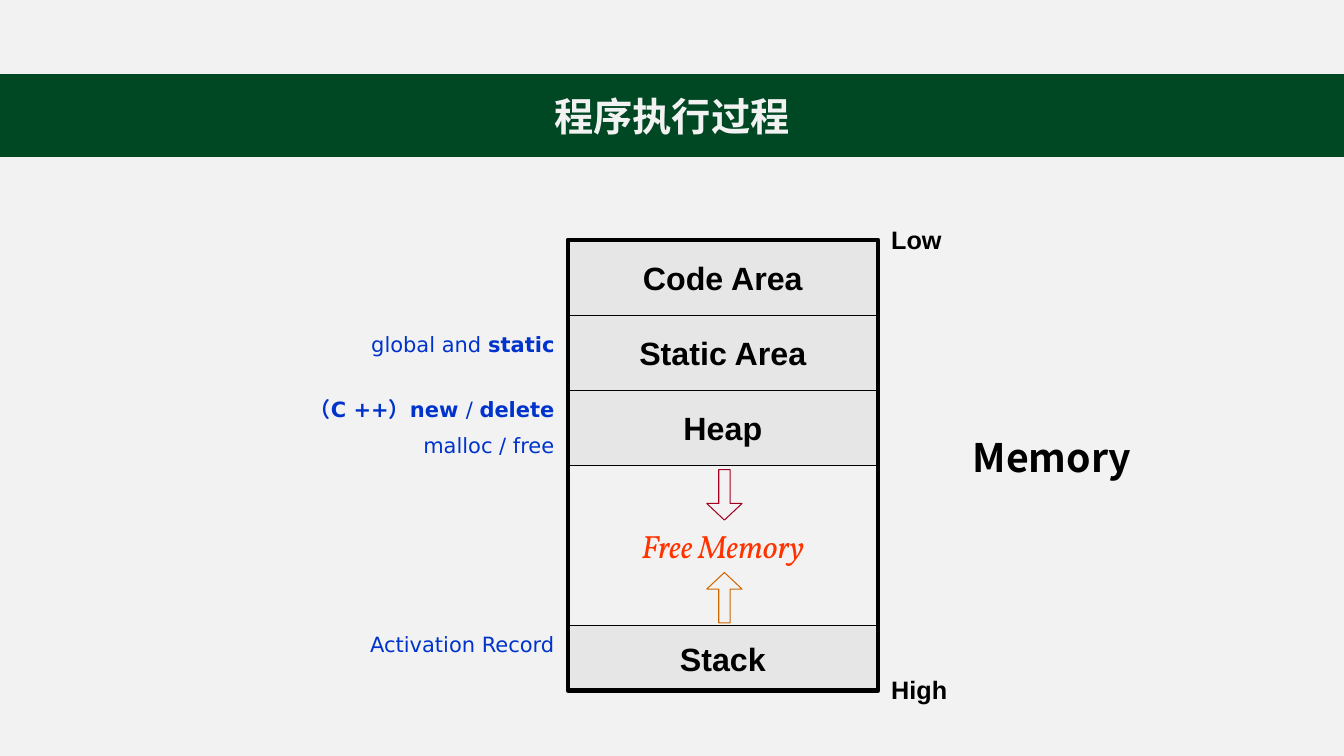
"""Build a slide showing the memory layout of a running program."""
import itertools
from typing import NamedTuple, Optional

import lxml.etree
import pptx
import pptx.dml.color
import pptx.enum.shapes
import pptx.enum.text
import pptx.oxml.ns
import pptx.shapes.autoshape
import pptx.slide
import pptx.text.text
import pptx.util

RGBColor = pptx.dml.color.RGBColor
Inches = pptx.util.Inches
Pt = pptx.util.Pt
Shape = pptx.enum.shapes.MSO_SHAPE
Align = pptx.enum.text.PP_ALIGN
Anchor = pptx.enum.text.MSO_ANCHOR

BLACK = RGBColor(0x00, 0x00, 0x00)
PAPER = RGBColor(0xF2, 0xF2, 0xF2)
GREY = RGBColor(0xE6, 0xE6, 0xE6)
GREEN = RGBColor(0x00, 0x47, 0x23)
BLUE = RGBColor(0x00, 0x33, 0xCC)
ORANGE_RED = RGBColor(0xFF, 0x33, 0x00)
CRIMSON = RGBColor(0xA5, 0x00, 0x21)
OCHRE = RGBColor(0xCC, 0x66, 0x00)

SLIDE_WIDTH = 13.33
MEMORY_LEFT, MEMORY_TOP, MEMORY_WIDTH = 5.63, 2.38, 3.08
MEMORY_RIGHT = MEMORY_LEFT + MEMORY_WIDTH


class Style(NamedTuple):
    font: str
    size: float
    color: RGBColor
    bold: bool = False
    italic: bool = False


class Box(NamedTuple):
    left: float
    top: float
    width: float
    height: float


class Area(NamedTuple):
    name: str
    height: float
    fill: Optional[RGBColor]
    line: RGBColor
    style: Style


class Run(NamedTuple):
    text: str
    bold: bool = False


class Label(NamedTuple):
    box: Box
    paragraphs: list[list[Run]]
    style: Style
    align: Align = Align.LEFT
    insets: tuple[float, float] = (0.13, 0.06)


class Growth(NamedTuple):
    kind: Shape
    top: float
    color: RGBColor


AREA_STYLE = Style("Arial", 23, BLACK, bold=True)
FREE_STYLE = Style("Vollkorn", 23, ORANGE_RED, italic=True)
ADDRESS_STYLE = Style("Arial", 18, BLACK)
USAGE_STYLE = Style("DejaVu Sans", 15, BLUE)
HEADING_STYLE = Style("Noto Sans CJK SC", 28, BLACK)
TITLE_STYLE = Style("Noto Sans CJK SC", 28, PAPER, bold=True)

AREAS = [
    Area("Code Area", 0.75, GREY, GREY, AREA_STYLE),
    Area("Static Area", 0.74, GREY, BLACK, AREA_STYLE),
    Area("Heap", 0.75, GREY, BLACK, AREA_STYLE),
    Area("Free Memory", 1.59, None, BLACK, FREE_STYLE),
    Area("Stack", 0.64, GREY, BLACK, AREA_STYLE),
]
GROWTHS = [
    Growth(Shape.UP_ARROW, 5.68, OCHRE),
    Growth(Shape.DOWN_ARROW, 4.66, CRIMSON),
]
LABELS = [
    Label(Box(MEMORY_RIGHT, 2.17, 1.17, 0.43), [[Run("Low", True)]], ADDRESS_STYLE),
    Label(Box(MEMORY_RIGHT, 6.63, 1.17, 0.43), [[Run("High", True)]], ADDRESS_STYLE),
    Label(Box(3.08, 6.21, 2.55, 0.38), [[Run("Activation Record")]], USAGE_STYLE, Align.RIGHT),
    Label(Box(2.9, 3.87, 2.73, 0.76),
          [[Run("（C ++）new ", True), Run("/ "), Run("delete", True)],
           [Run("malloc / free")]], USAGE_STYLE, Align.RIGHT),
    Label(Box(3.08, 3.23, 2.55, 0.38), [[Run("global and "), Run("static", True)]],
          USAGE_STYLE, Align.RIGHT),
    Label(Box(9.55, 4.25, 2.1, 0.57), [[Run("Memory", True)]],
          HEADING_STYLE, insets=(0.1, 0.05)),
]


def place(box: Box) -> list[int]:
    """Convert a box to slide lengths."""
    return [Inches(length) for length in box]


def format_font(font: pptx.text.text.Font, style: Style, bold: bool) -> None:
    """Apply a style to a font."""
    font.name, font.size = style.font, Pt(style.size)
    font.bold, font.italic = bold, style.italic
    font.color.rgb = style.color


def set_insets(frame: pptx.text.text.TextFrame, across: float, down: float) -> None:
    """Set the inner margins of a text frame."""
    frame.margin_left = frame.margin_right = Inches(across)
    frame.margin_top = frame.margin_bottom = Inches(down)


def draw_shape(slide: pptx.slide.Slide, kind: Shape, box: Box, fill: Optional[RGBColor],
               line: RGBColor, line_width: float) -> pptx.shapes.autoshape.Shape:
    """Draw an outlined shape without a shadow."""
    shape = slide.shapes.add_shape(kind, *place(box))
    shape.shadow.inherit = False
    if fill is None:
        shape.fill.background()
    else:
        shape.fill.solid()
        shape.fill.fore_color.rgb = fill
    shape.line.color.rgb = line
    shape.line.width = Pt(line_width)
    return shape


def write_centred(shape: pptx.shapes.autoshape.Shape, text: str,
                  style: Style) -> pptx.text.text.Font:
    """Write one centred line in a shape and return its font."""
    frame = shape.text_frame
    frame.text = text
    frame.vertical_anchor = Anchor.MIDDLE
    paragraph = frame.paragraphs[0]
    paragraph.alignment = Align.CENTER
    font = paragraph.runs[0].font
    format_font(font, style, style.bold)
    return font


def draw_label(slide: pptx.slide.Slide, label: Label) -> None:
    """Draw a text label beside the memory."""
    frame = slide.shapes.add_textbox(*place(label.box)).text_frame
    frame.word_wrap = True
    set_insets(frame, *label.insets)
    for index, runs in enumerate(label.paragraphs):
        paragraph = frame.add_paragraph() if index else frame.paragraphs[0]
        paragraph.alignment = label.align
        if index:
            paragraph.space_before = Pt(8)
        for part in runs:
            run = paragraph.add_run()
            run.text = part.text
            format_font(run.font, label.style, part.bold)


def draw_memory(slide: pptx.slide.Slide) -> None:
    """Draw the memory areas, growth arrows, labels and frame."""
    tops = list(itertools.accumulate((area.height for area in AREAS), initial=MEMORY_TOP))
    for area, top in zip(AREAS, tops):
        box = Box(MEMORY_LEFT, top, MEMORY_WIDTH, area.height)
        band = draw_shape(slide, Shape.RECTANGLE, box, area.fill, area.line, 0.75)
        write_centred(band, area.name, area.style)
        band.text_frame.word_wrap = False
        set_insets(band.text_frame, 0.13, 0.06)
    for growth in GROWTHS:
        box = Box(7.01, growth.top, 0.35, 0.5)
        arrow = draw_shape(slide, growth.kind, box, None, growth.color, 0.75)
        arrow.adjustments[0], arrow.adjustments[1] = 0.32, 0.47
    for label in LABELS:
        draw_label(slide, label)
    outline = Box(MEMORY_LEFT, MEMORY_TOP, MEMORY_WIDTH, tops[-1] - MEMORY_TOP)
    draw_shape(slide, Shape.RECTANGLE, outline, None, BLACK, 3)


def draw_title(slide: pptx.slide.Slide) -> None:
    """Draw the title band."""
    band = draw_shape(slide, Shape.RECTANGLE, Box(0, 0.74, SLIDE_WIDTH, 0.81), GREEN, GREEN, 1)
    font = write_centred(band, "程序执行过程", TITLE_STYLE)
    east_asian = lxml.etree.SubElement(font._element, pptx.oxml.ns.qn("a:ea"))
    east_asian.set("typeface", TITLE_STYLE.font)


presentation = pptx.Presentation()
presentation.slide_width, presentation.slide_height = Inches(SLIDE_WIDTH), Inches(7.5)
memory_slide = presentation.slides.add_slide(presentation.slide_layouts[6])
memory_slide.background.fill.solid()
memory_slide.background.fill.fore_color.rgb = PAPER
draw_memory(memory_slide)
draw_title(memory_slide)
presentation.save("out.pptx")
